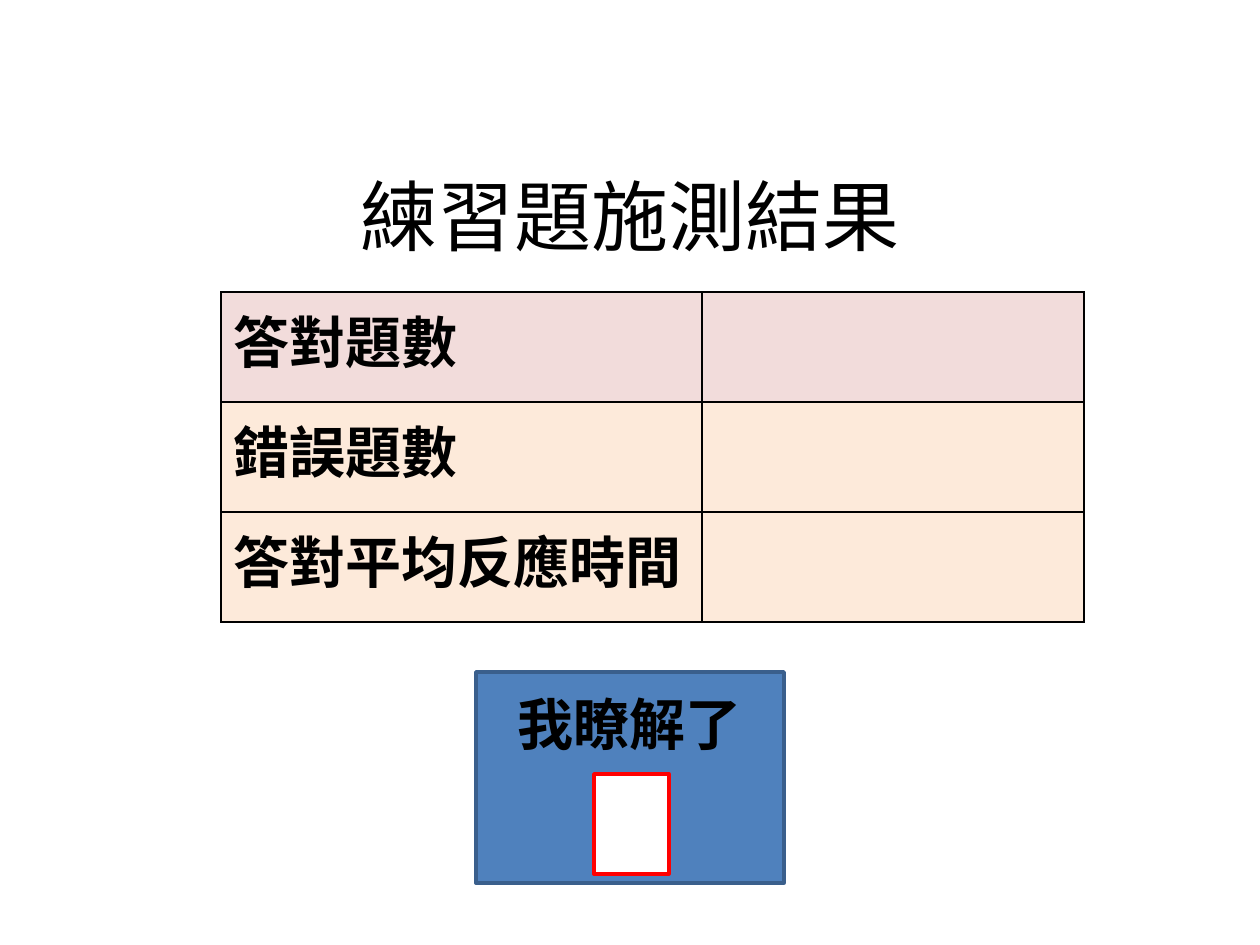
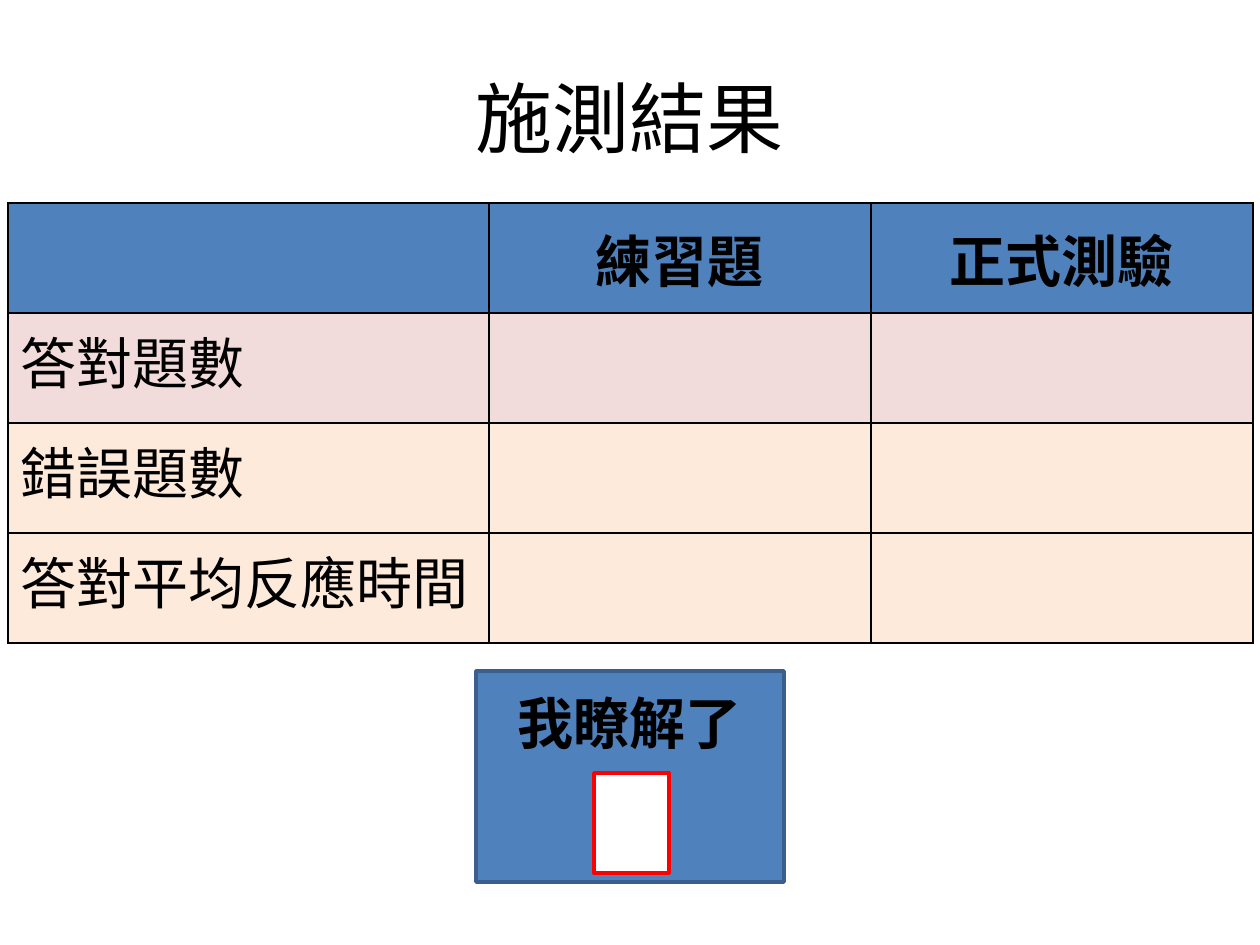
from lxml import etree
from pptx import Presentation
from pptx.dml.color import RGBColor
from pptx.enum.shapes import MSO_SHAPE
from pptx.enum.text import MSO_ANCHOR, PP_ALIGN
from pptx.oxml.ns import qn
from pptx.util import Emu, Pt

RECT = MSO_SHAPE.RECTANGLE
TOP, MIDDLE = MSO_ANCHOR.TOP, MSO_ANCHOR.MIDDLE
LEFT, CENTER = PP_ALIGN.LEFT, PP_ALIGN.CENTER

SCALE = 914400 / 126
SLIDE_W, SLIDE_H = 1260, 945
LATIN, CJK = "Calibri", "Noto Sans CJK SC"
COLORS = {
    "text": "000000",
    "border": "000000",
    "blue": "4F81BD",
    "blue_line": "3A5F8C",
    "pink": "F2DCDB",
    "cream": "FDEADA",
    "white": "FFFFFF",
    "red": "FF0000",
}
ROW_H = 110
LABEL_W, VALUE_W = 481, 382
MEASURES = [("答對題數", "pink"), ("錯誤題數", "cream"), ("答對平均反應時間", "cream")]


def px(n):
    return Emu(round(n * SCALE))


def rgb(name):
    return RGBColor.from_string(COLORS[name])


def write(tf, text, size=32, font=LATIN, bold=False, align=LEFT, anchor=TOP):
    tf.word_wrap = True
    tf.vertical_anchor = anchor
    p = tf.paragraphs[0]
    p.alignment = align
    r = p.add_run()
    r.text = text
    r.font.size = Pt(size)
    r.font.bold = bold
    r.font.name = font
    r.font.color.rgb = rgb("text")
    etree.SubElement(r.font._element, qn("a:ea"), typeface=CJK)


def add_title(slide, box, text):
    sp = slide.shapes.add_textbox(*map(px, box))
    write(sp.text_frame, text, size=44, align=CENTER, anchor=MIDDLE)


def style_cell(cell, fill):
    cell.fill.solid()
    cell.fill.fore_color.rgb = rgb(fill)
    tc_pr = cell._tc.get_or_add_tcPr()
    for i, side in enumerate(("lnL", "lnR", "lnT", "lnB")):
        ln = etree.Element(qn(f"a:{side}"), w=str(Pt(1)))
        solid = etree.SubElement(ln, qn("a:solidFill"))
        etree.SubElement(solid, qn("a:srgbClr"), val=COLORS["border"])
        tc_pr.insert(i, ln)


def add_results(slide, left, top, headers=(), bold_labels=False):
    widths = [LABEL_W] + [VALUE_W] * max(1, len(headers))
    fills = ["blue"] * bool(headers) + [fill for _, fill in MEASURES]
    frame = slide.shapes.add_table(
        len(fills), len(widths), px(left), px(top),
        px(sum(widths)), px(ROW_H * len(fills)))
    table = frame.table
    table.first_row = table.horz_banding = False
    for column, width in zip(table.columns, widths):
        column.width = px(width)
    for row, fill in zip(table.rows, fills):
        row.height = px(ROW_H)
        for cell in row.cells:
            style_cell(cell, fill)
    for col, header in enumerate(headers, 1):
        cell = table.cell(0, col)
        write(cell.text_frame, header, bold=True, align=CENTER)
        cell.vertical_anchor = MIDDLE
    for row, (label, _) in enumerate(MEASURES, bool(headers)):
        write(table.cell(row, 0).text_frame, label, bold=bold_labels)


def add_box(shapes, box, fill, line):
    sp = shapes.add_shape(RECT, *map(px, box))
    sp.shadow.inherit = False
    sp.fill.solid()
    sp.fill.fore_color.rgb = rgb(fill)
    sp.line.color.rgb = rgb(line)
    sp.line.width = Pt(2)
    return sp


def add_button(slide, left, top):
    shapes = slide.shapes.add_group_shape().shapes
    button = add_box(shapes, (left, top, 308, 211), "blue", "blue_line")
    button.text_frame.margin_top = px(17)
    write(button.text_frame, "我瞭解了", font=CJK, bold=True, align=CENTER)
    add_box(shapes, (left + 118, top + 102, 75, 100), "white", "red")


def add_result_slide(prs, title, title_top, table_at, button_top, **table_format):
    slide = prs.slides.add_slide(prs.slide_layouts[6])
    add_title(slide, (63, title_top, 1134, 158), title)
    add_results(slide, *table_at, **table_format)
    add_button(slide, 476, button_top)


def main():
    prs = Presentation()
    prs.slide_width, prs.slide_height = px(SLIDE_W), px(SLIDE_H)
    add_result_slide(prs, "練習題施測結果", 136, (221, 292), 672, bold_labels=True)
    add_result_slide(prs, "施測結果", 38, (8, 203), 671, headers=("練習題", "正式測驗"))
    prs.save("out.pptx")


if __name__ == "__main__":
    main()
